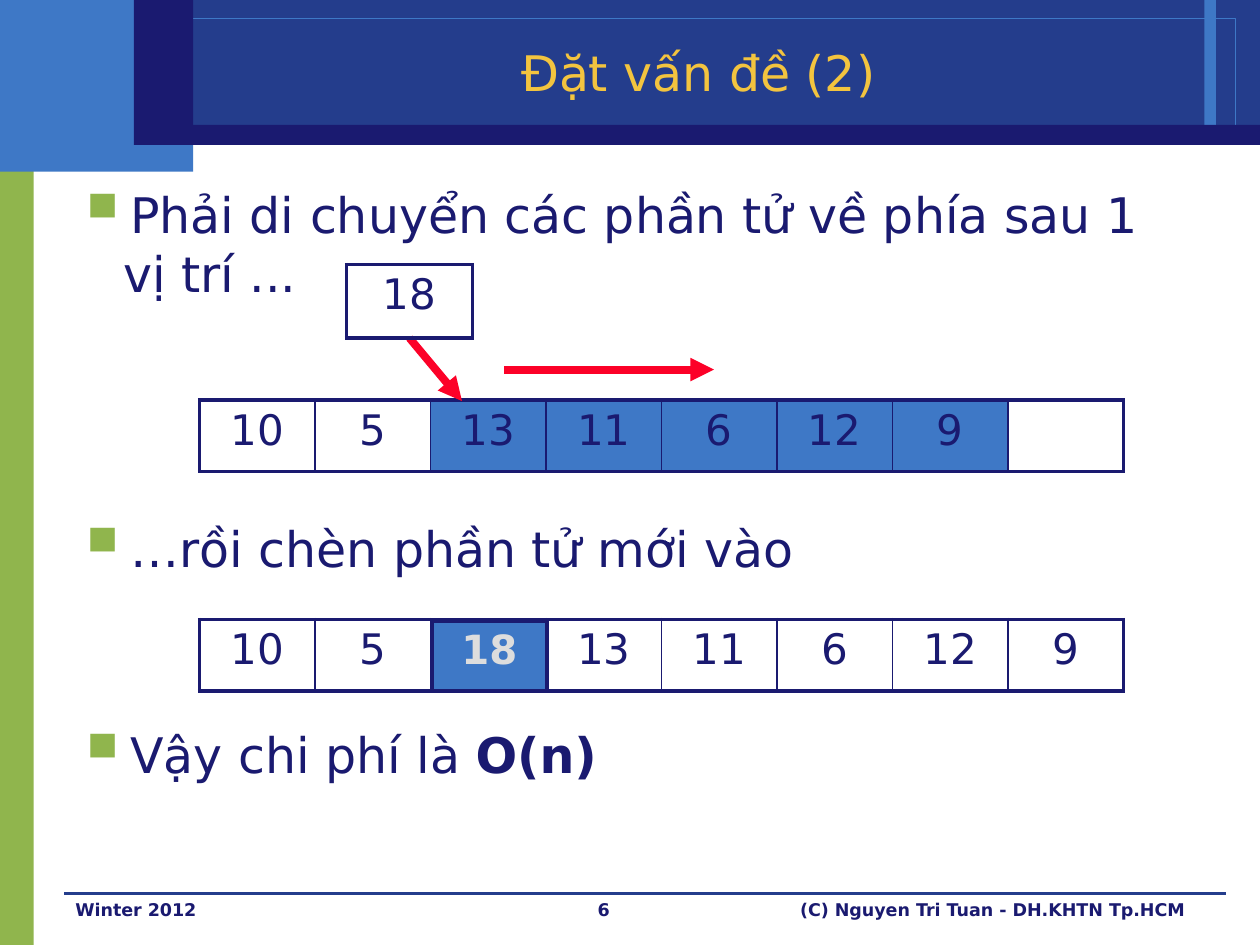
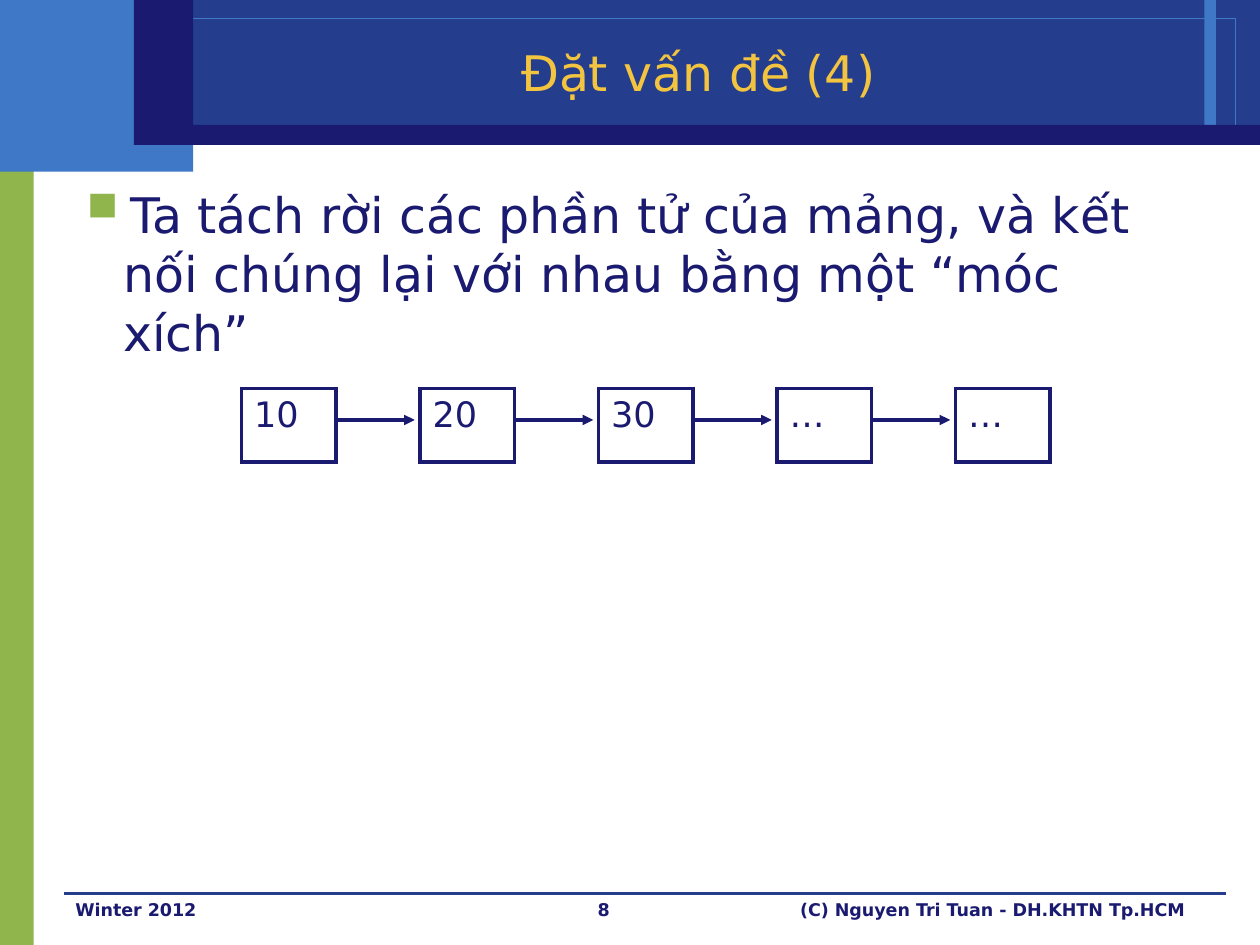
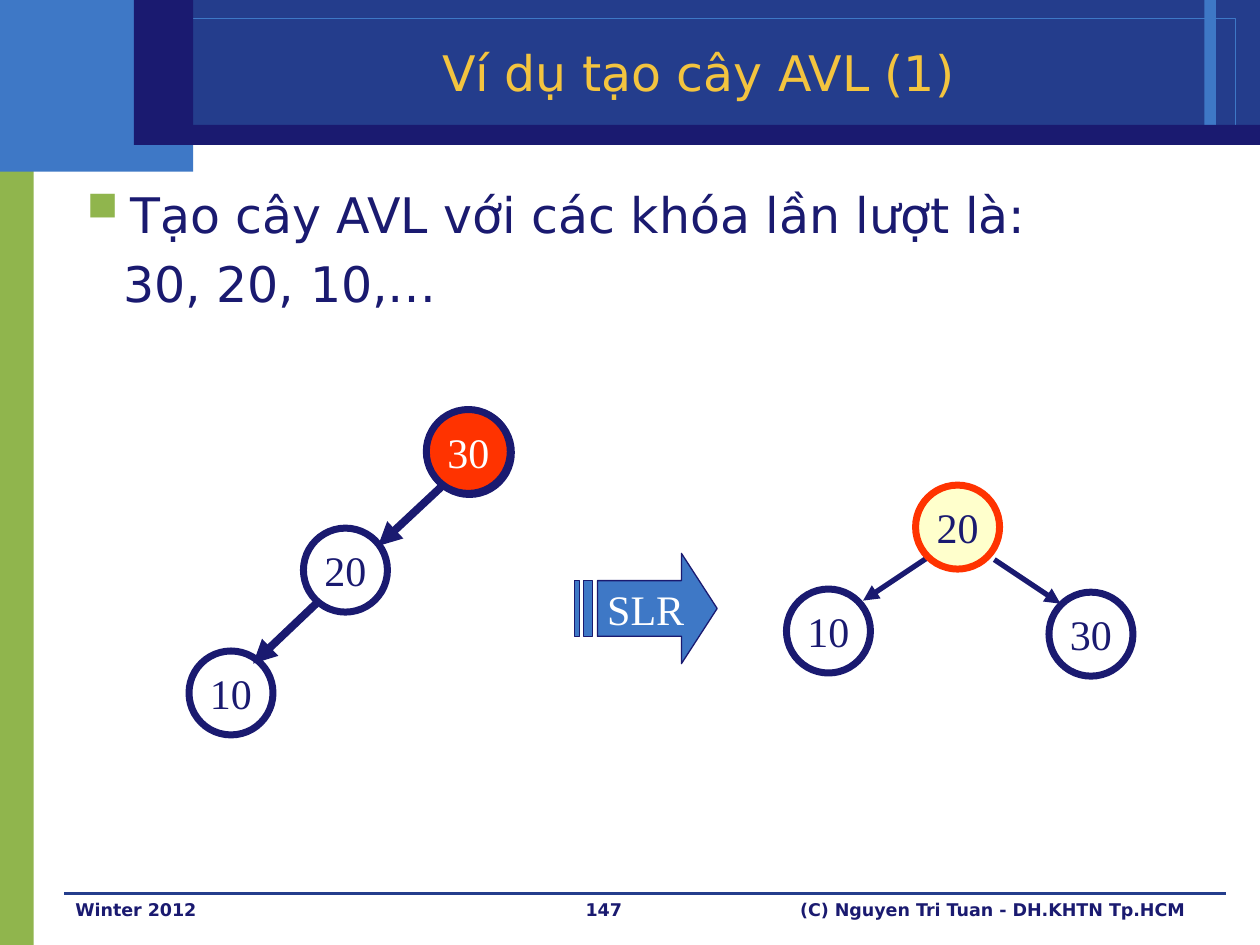
from lxml import etree
from pptx import Presentation
from pptx.dml.color import RGBColor
from pptx.enum.shapes import MSO_CONNECTOR, MSO_SHAPE
from pptx.enum.text import MSO_ANCHOR, PP_ALIGN
from pptx.oxml.ns import qn
from pptx.util import Inches, Pt

NAVY, ROYAL, BLUE, GREEN = "1A1A70", "243D8C", "3E78C6", "90B54D"
GOLD, RED, ORANGE, CREAM = "F3C43F", "FC0128", "FF3300", "FFFFCC"
GREY, WHITE = "DDDDDD", "FFFFFF"
SANS, SERIF = "DejaVu Sans", "Times New Roman"
COLUMNS = 120  # the slide is a grid of 120 columns by 90 rows
NODE = 8       # diameter of a tree node, in grid units


def color(hex_code):
    return RGBColor.from_string(hex_code)


def add_xml(parent, tag, **attributes):
    return etree.SubElement(parent, qn(tag), attributes)


class Deck:
    def __init__(self):
        self.prs = Presentation()
        self.prs.slide_width, self.prs.slide_height = Inches(10), Inches(7.5)
        self.s = None

    def grid(self, *units):
        return [round(u * self.prs.slide_width / COLUMNS) for u in units]

    # Text
    def style(self, p, size, hex_code=NAVY, font=SANS, bold=False, align=PP_ALIGN.LEFT):
        p.alignment = align
        p.font.size, p.font.name, p.font.bold = Pt(size), font, bold
        p.font.color.rgb = color(hex_code)

    def text(self, box, words, size, anchor=MSO_ANCHOR.TOP, **style):
        tf = self.s.shapes.add_textbox(*self.grid(*box)).text_frame
        tf.word_wrap, tf.vertical_anchor = True, anchor
        p = tf.paragraphs[0]
        p.text = words
        self.style(p, size, **style)

    def body(self, *items):
        """Each item is (text, bold ending, space before, has a bullet)."""
        tf = self.s.shapes.add_textbox(*self.grid(6, 17, 110, 67)).text_frame
        tf.word_wrap, tf.margin_right = True, Inches(0.3)
        for i, (words, ending, space, bullet) in enumerate(items):
            p = tf.add_paragraph() if i else tf.paragraphs[0]
            p.add_run().text = words
            if ending:
                r = p.add_run()
                r.text, r.font.bold = ending, True
            p.space_before = Pt(space)
            pPr = p._p.get_or_add_pPr()
            pPr.set("marL", str(Inches(0.38)))
            pPr.set("indent", str(-Inches(0.38) if bullet else 0))
            if bullet:
                add_xml(add_xml(pPr, "a:buClr"), "a:srgbClr", val=GREEN)
                add_xml(pPr, "a:buSzPct", val="150000")
                add_xml(pPr, "a:buChar", char="▪")
            else:
                add_xml(pPr, "a:buNone")
            self.style(p, 28)

    # Shapes and lines
    def paint(self, shape, fill=None, line=None, width=0):
        shape.shadow.inherit = False
        if fill:
            shape.fill.solid()
            shape.fill.fore_color.rgb = color(fill)
        else:
            shape.fill.background()
        if line:
            shape.line.color.rgb = color(line)
            shape.line.width = Pt(width)
        else:
            shape.line.fill.background()

    def rect(self, box, **look):
        self.paint(self.s.shapes.add_shape(MSO_SHAPE.RECTANGLE, *self.grid(*box)), **look)

    def label(self, shape, words, hex_code):
        tf = shape.text_frame
        tf.word_wrap, tf.vertical_anchor = False, MSO_ANCHOR.MIDDLE
        p = tf.paragraphs[0]
        p.text = words
        self.style(p, 24, hex_code, SERIF, align=PP_ALIGN.CENTER)

    def node(self, x, y, words="", fill=None, line=NAVY, ink=NAVY):
        sp = self.s.shapes.add_shape(MSO_SHAPE.OVAL, *self.grid(x, y, NODE, NODE))
        self.paint(sp, fill, line, 4)
        if words:
            self.label(sp, words, ink)

    def outline(self, words, *paths, **look):
        first, *rest = [[tuple(self.grid(*pt)) for pt in path] for path in paths]
        builder = self.s.shapes.build_freeform(*first[0])
        builder.add_line_segments(first[1:], close=True)
        for path in rest:
            builder.move_to(*path[0])
            builder.add_line_segments(path[1:], close=True)
        sp = builder.convert_to_shape()
        self.paint(sp, **look)
        self.label(sp, words, WHITE)

    def line(self, start, end, hex_code, width, arrow=True):
        c = self.s.shapes.add_connector(MSO_CONNECTOR.STRAIGHT, *self.grid(*start, *end))
        c.line.color.rgb, c.line.width = color(hex_code), Pt(width)
        if arrow:
            add_xml(c.line._get_or_add_ln(), "a:tailEnd", type="triangle")
        add_xml(c._element.spPr, "a:effectLst")

    # Array drawn as a one-row table
    def array(self, box, values, size=24, filled=(), **style):
        frame = self.s.shapes.add_table(1, len(values), *self.grid(*box))
        table = frame.table
        table.first_row = table.horz_banding = False
        last = len(values) - 1
        for i, value in enumerate(values):
            cell = table.cell(0, i)
            widths = {"L": 1 if i else 2.25, "R": 1 if i < last else 2.25,
                      "T": 2.25, "B": 2.25}
            tcPr = cell._tc.get_or_add_tcPr()
            for side, width in widths.items():
                ln = add_xml(tcPr, f"a:ln{side}", w=str(Pt(width)))
                add_xml(add_xml(ln, "a:solidFill"), "a:srgbClr", val=NAVY)
            if i in filled:
                cell.fill.solid()
                cell.fill.fore_color.rgb = color(BLUE)
            else:
                cell.fill.background()
            p = cell.text_frame.paragraphs[0]
            p.text = value
            self.style(p, size, **{"align": PP_ALIGN.CENTER, **style})

    # Frame shared by all slides
    def slide(self, title, number):
        self.s = self.prs.slides.add_slide(self.prs.slide_layouts[6])
        self.rect((0, 12.8, 3.2, 77.2), fill=GREEN)
        self.rect((0, 0, 18.4, 16.35), fill=BLUE)
        self.rect((18.4, 0, 101.6, 13.8), fill=ROYAL)
        self.rect((114.7, 0, 1.1, 12), fill=BLUE)
        self.rect((2.4, 1.75, 115.3, 10.2), line=BLUE)
        self.line((6.1, 85.1), (116.8, 85.1), ROYAL, 0, arrow=False)
        self.rect((15.6, 11.9, 104.4, 1.9), fill=NAVY)
        self.rect((12.75, 0, 5.65, 13.8), fill=NAVY)
        for x, width, words, align in (
                (48, 19, str(number), PP_ALIGN.CENTER),
                (6, 28, "Winter 2012", PP_ALIGN.LEFT),
                (71, 43, "(C) Nguyen Tri Tuan - DH.KHTN Tp.HCM", PP_ALIGN.RIGHT)):
            self.text((x, 85, width, 5), words, 10, bold=True, align=align)
        self.text((18, 3.1, 97, 7.5), title, 28, MSO_ANCHOR.MIDDLE,
                  hex_code=GOLD, align=PP_ALIGN.CENTER)


def shift_slide(deck):
    deck.slide("Đặt vấn đề (2)", 6)
    deck.body(("Phải di chuyển các phần tử về phía sau 1 vị trí ...", "", 0, True),
              ("…rồi chèn phần tử mới vào", "", 123.5, True),
              ("Vậy chi phí là ", "O(n)", 84.2, True))
    # Making room for the new element
    deck.array((19, 38.1, 88, 6.8), ["10", "5", "13", "11", "6", "12", "9", ""],
               filled=range(2, 7))
    deck.line((39, 32.2), (44, 38.2), RED, 4.5)
    deck.array((33, 25.2, 12, 7), ["18"])
    deck.line((48, 35.2), (68, 35.2), RED, 4.5)
    # After the insertion
    deck.array((19, 59, 88, 6.8), ["10", "5", "", "13", "11", "6", "12", "9"])
    deck.array((41.15, 59.15, 10.95, 6.6), ["18"], 23, filled=[0],
               hex_code=GREY, bold=True)


def chain_slide(deck):
    deck.slide("Đặt vấn đề (4)", 8)
    deck.body(("Ta tách rời các phần tử của mảng, và kết nối chúng lại với nhau "
               "bằng một “móc xích”", "", 0, True))
    values = ["10", "20", "30", "…", "…"]
    left, step, width = 23, 17, 9
    for i, value in enumerate(values):
        x = left + i * step
        deck.array((x, 37, width, 7), [value], 20, align=PP_ALIGN.LEFT)
        if i < len(values) - 1:
            deck.line((x + width, 40), (x + step - 0.5, 40), NAVY, 2)


def avl_slide(deck):
    deck.slide("Ví dụ tạo cây AVL (1)", 147)
    deck.body(("Tạo cây AVL với các khóa lần lượt là:", "", 0, True),
              ("30, 20, 10,…", "", 5.6, False))
    # Unbalanced tree, with a second ring under its root
    deck.node(18, 62, "10")
    deck.line((42.1, 46.3), (36, 52), NAVY, 4.5)
    deck.node(28.9, 50.3, "20")
    deck.node(40.7, 39.1)
    deck.node(40.6, 39, "30", fill=ORANGE, ink=WHITE)
    deck.line((30.1, 57.5), (24.1, 63.2), NAVY, 4.5)
    # Rotation arrow with two stripes
    top, bottom, neck = 55.3, 60.6, 64.9
    stripes = [[(a, top), (a, bottom), (b, bottom), (b, top)]
               for a, b in ((55.6, 56.4), (54.7, 55.2))]
    head = [(neck, 52.7), (neck, top), (56.9, top), (56.9, bottom),
            (neck, bottom), (neck, 63.2), (68.3, 57.95)]
    deck.outline("SLR", head, *stripes, fill=BLUE, line=NAVY, width=0.75)
    # Balanced tree
    deck.node(74.9, 56.1, "10")
    deck.line((88.2, 53.2), (82.2, 57.2), NAVY, 3)
    deck.line((94.7, 53.3), (101, 57.5), NAVY, 3)
    deck.node(87.2, 46.2, "20", fill=CREAM, line=ORANGE)
    deck.node(99.9, 56.4, "30")


def main():
    deck = Deck()
    for build in (shift_slide, chain_slide, avl_slide):
        build(deck)
    deck.prs.save("out.pptx")


if __name__ == "__main__":
    main()
